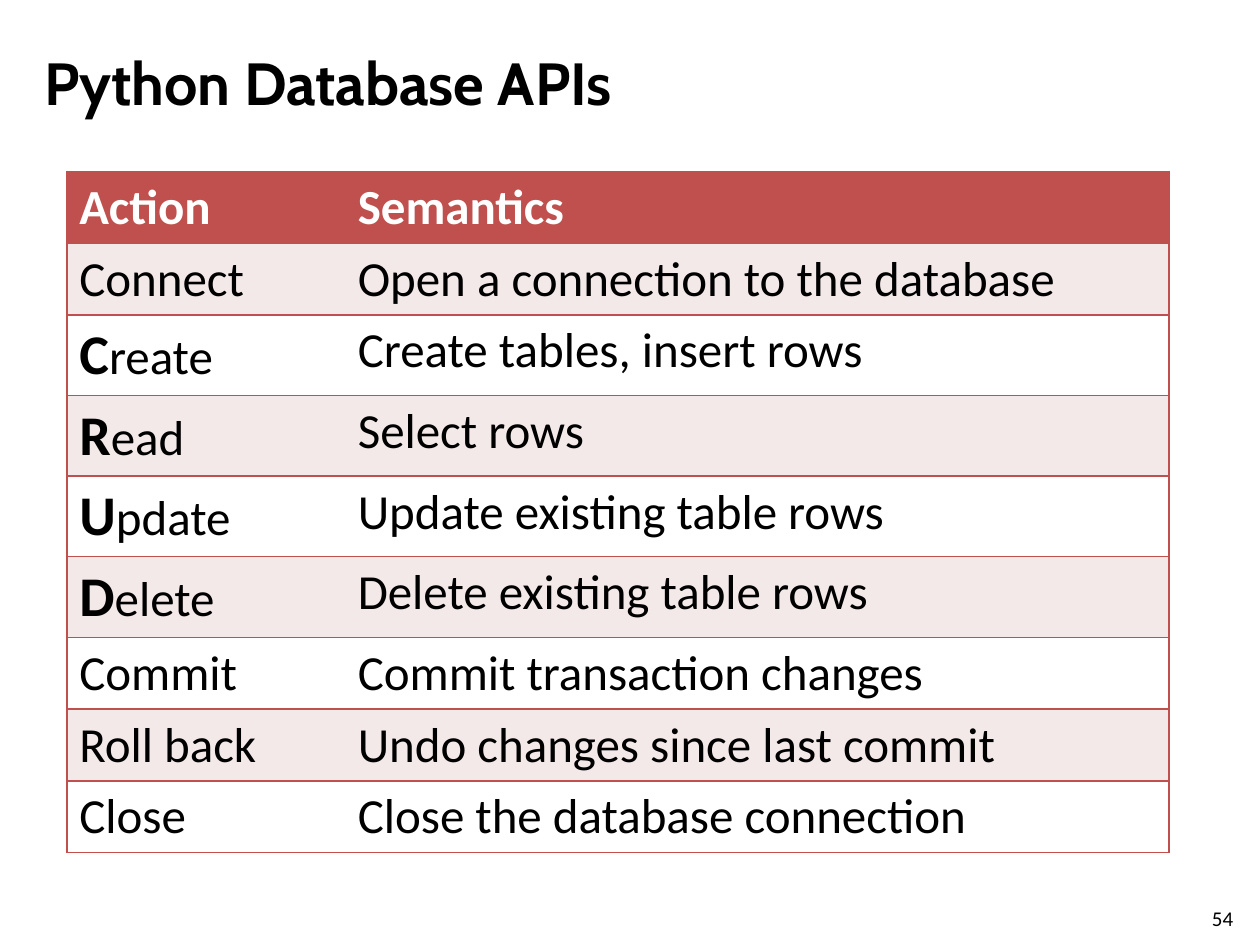
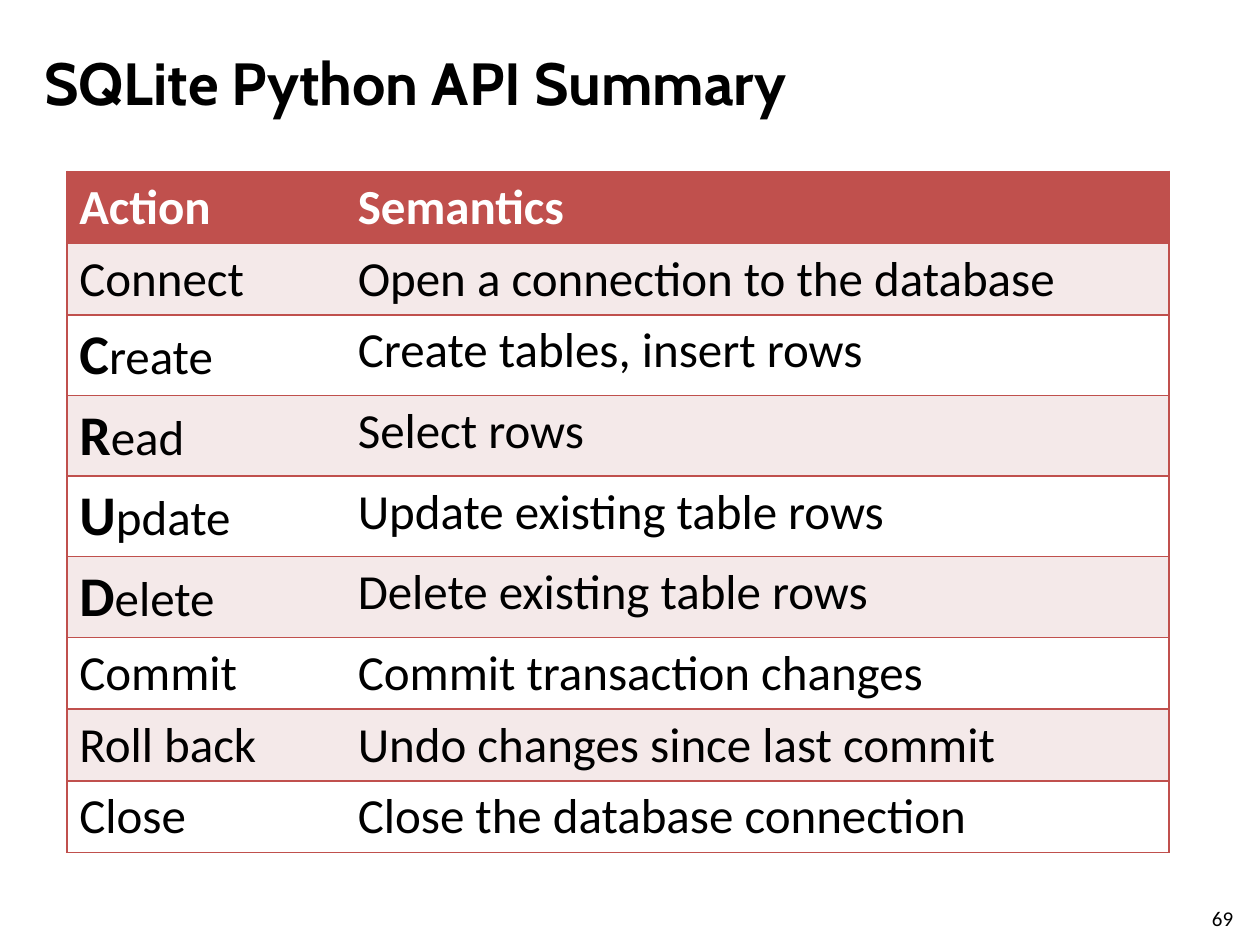
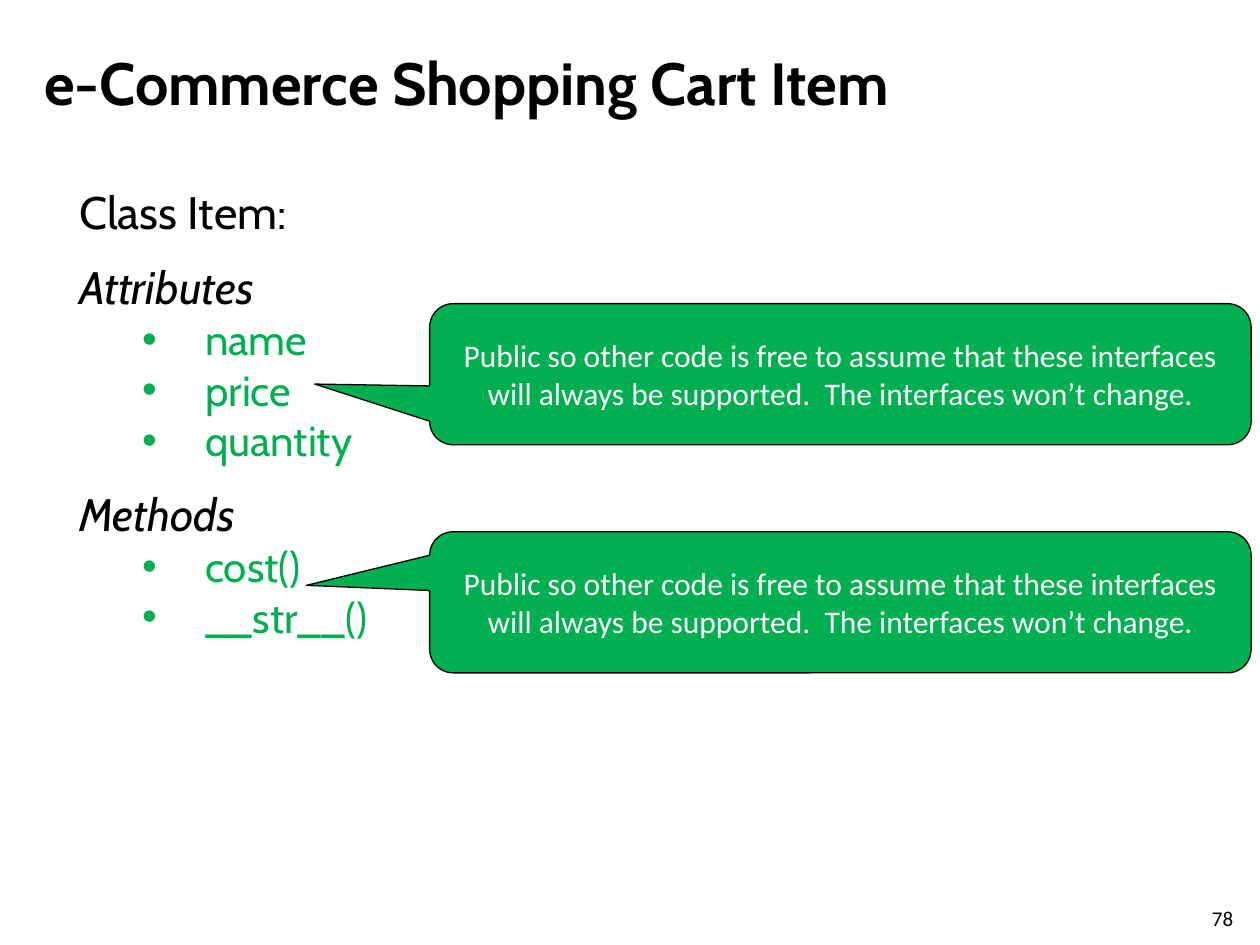
from pptx import Presentation
from pptx.dml.color import RGBColor as RGB
from pptx.enum.shapes import MSO_SHAPE as SHAPE
from pptx.enum.text import MSO_ANCHOR as ANCHOR, MSO_AUTO_SIZE as FIT, PP_ALIGN as ALIGN
from pptx.oxml.ns import qn
from pptx.util import Inches, Pt
from lxml.etree import SubElement as Sub

HUES = {
    "ink": "000000",
    "white": "FFFFFF",
    "red": "C0504D",
    "pink": "F4E9E9",
    "green": "00B050",
}
HEAD, BODY = "Cabin", "Calibri"

ACTS = [
    (("Action",), "Semantics"),
    (("Connect",), "Open a connection to the database"),
    (("C", "reate"), "Create tables, insert rows"),
    (("R", "ead"), "Select rows"),
    (("U", "pdate"), "Update existing table rows"),
    (("D", "elete"), "Delete existing table rows"),
    (("Commit",), "Commit transaction changes"),
    (("Roll back",), "Undo changes since last commit"),
    (("Close",), "Close the database connection"),
]
PARTS = [
    ("Attributes", ["name", "price", "quantity"]),
    ("Methods", ["cost()", "__str__()"]),
]
NOTE = ("Public so other code is free to assume that these interfaces "
        "will always be supported.  The interfaces won’t change.")


def tint(name):
    return RGB.from_string(HUES[name])


def add_run(para, text, size, face=BODY, hue="ink", bold=False, slant=False):
    run = para.add_run()
    run.text = text
    font = run.font
    font.size, font.name = Pt(size), face
    font.bold, font.italic = bold, slant
    font.color.rgb = tint(hue)


def add_box(slide, left, top, width, height):
    box = slide.shapes.add_textbox(Inches(left), Inches(top), Inches(width), Inches(height))
    return box.text_frame


def add_page(deck, title, number):
    slide = deck.slides.add_slide(deck.slide_layouts[5])
    head = slide.shapes.title
    head.left, head.top = Inches(0.25), Inches(0.3)
    head.width, head.height = Inches(8.67), Inches(0.7)
    frame = head.text_frame
    frame.auto_size, frame.vertical_anchor = FIT.NONE, ANCHOR.MIDDLE
    para = frame.paragraphs[0]
    para.alignment = ALIGN.LEFT
    add_run(para, title, 34, HEAD, bold=True)
    foot = add_box(slide, 9.52, 7.14, 0.4, 0.24)
    add_run(foot.paragraphs[0], str(number), 12)
    return slide


def add_edge(cell, side, hue):
    line = Sub(cell._tc.get_or_add_tcPr(), qn("a:ln" + side), w=str(Pt(1)))
    if hue:
        Sub(Sub(line, qn("a:solidFill")), qn("a:srgbClr"), val=HUES[hue])
    else:
        Sub(line, qn("a:noFill"))


def style_cell(cell, row, col):
    add_edge(cell, "L", None if col else "red")
    add_edge(cell, "R", "red" if col else None)
    add_edge(cell, "T", "red")
    add_edge(cell, "B", "red")
    cell.fill.solid()
    cell.fill.fore_color.rgb = tint("red" if row == 0 else "pink" if row % 2 else "white")


def add_acts(slide):
    highs = [0.57 if len(act) == 1 else 0.64 for act, _ in ACTS]
    grid = slide.shapes.add_table(len(ACTS), 2, Inches(0.53), Inches(1.36),
                                  Inches(8.75), Inches(sum(highs))).table
    for col, width in enumerate((2.21, 6.54)):
        grid.columns[col].width = Inches(width)
    for row, (act, sense) in enumerate(ACTS):
        grid.rows[row].height = Inches(highs[row])
        top = row == 0
        hue = "white" if top else "ink"
        for col, texts in enumerate((act, (sense,))):
            cell = grid.cell(row, col)
            style_cell(cell, row, col)
            para = cell.text_frame.paragraphs[0]
            *first, rest = texts
            for text in first:
                add_run(para, text, 32, hue=hue, bold=True)
            add_run(para, rest, 28, hue=hue, bold=top)


def add_point(frame, text):
    para = frame.add_paragraph()
    para.level = 1
    props = para._p.get_or_add_pPr()
    props.set("marL", str(Inches(1)))
    props.set("indent", str(Inches(-0.5)))
    Sub(props, qn("a:buFont"), typeface="Arial")
    Sub(props, qn("a:buChar"), char="•")
    add_run(para, text, 24, HEAD, "green")
    return para


def add_class(slide):
    frame = add_box(slide, 0.53, 1.41, 4.01, 4.93)
    frame.word_wrap = True
    last = frame.paragraphs[0]
    add_run(last, "Class Item:", 26, HEAD)
    for part, names in PARTS:
        last.space_after = Pt(12)
        add_run(frame.add_paragraph(), part, 26, HEAD, slant=True)
        for name in names:
            last = add_point(frame, name)


def add_note(slide, top, tip):
    note = slide.shapes.add_shape(SHAPE.ROUNDED_RECTANGULAR_CALLOUT, Inches(3.41),
                                  Inches(top), Inches(6.52), Inches(1.12))
    note.adjustments[0], note.adjustments[1] = tip
    note.shadow.inherit = False
    note.fill.solid()
    note.fill.fore_color.rgb = tint("green")
    note.line.color.rgb = tint("ink")
    note.line.width = Pt(0.75)
    frame = note.text_frame
    frame.word_wrap, frame.vertical_anchor = True, ANCHOR.MIDDLE
    para = frame.paragraphs[0]
    para.alignment = ALIGN.CENTER
    add_run(para, NOTE, 18, hue="white")


def main():
    deck = Presentation()
    deck.slide_width, deck.slide_height = Inches(10), Inches(7.5)
    for title, number in (("Python Database APIs", 54), ("SQLite Python API Summary", 69)):
        add_acts(add_page(deck, title, number))
    cart = add_page(deck, "e-Commerce Shopping Cart Item", 78)
    add_class(cart)
    add_note(cart, 4.22, (-0.65, -0.12))
    add_note(cart, 2.41, (-0.64, 0.07))
    deck.save("out.pptx")


if __name__ == "__main__":
    main()
